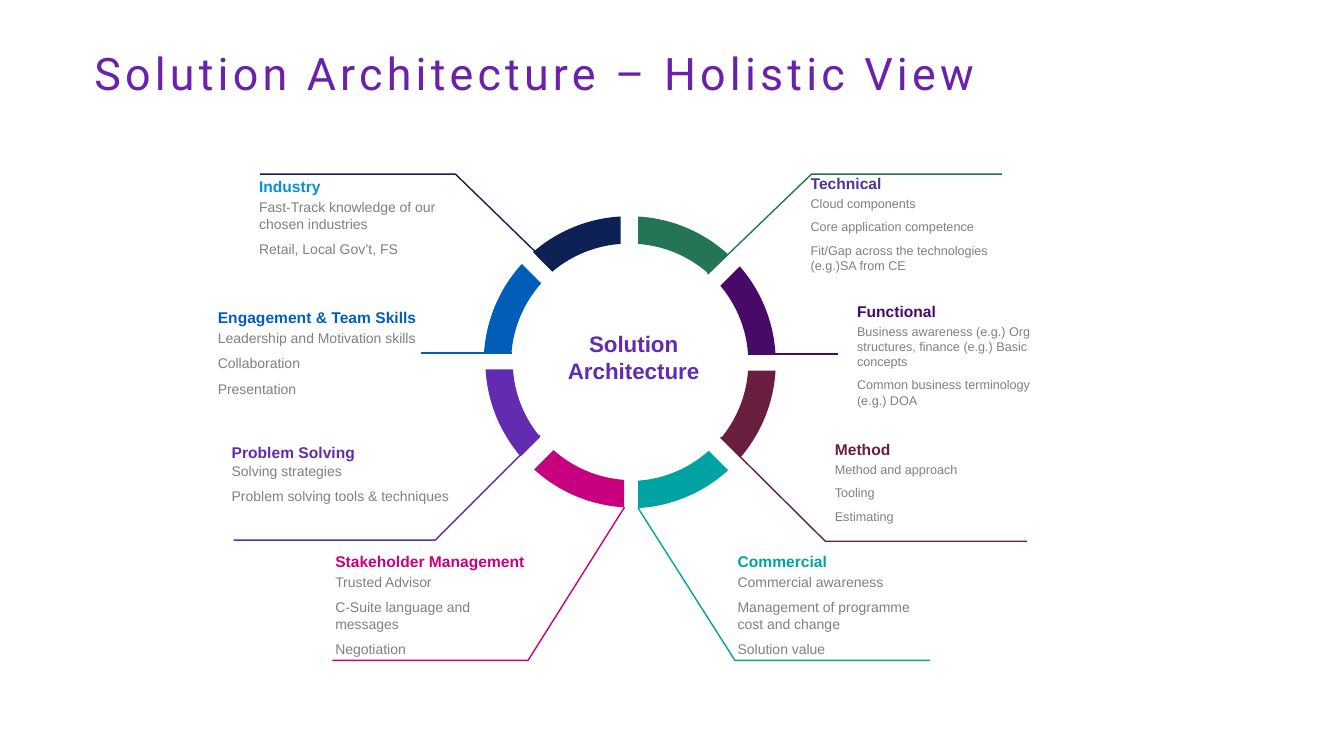
import math
import pptx
import pptx.util
import pptx.dml.color
import pptx.enum.shapes
import pptx.enum.text
import pptx.oxml.ns
import lxml.etree

Cm = pptx.util.Cm
Pt = pptx.util.Pt
qn = pptx.oxml.ns.qn

COLOURS = {
    "title": "6A22AD",
    "body": "808080",
    "technical": "247554",
    "technical heading": "483698",
    "functional": "470A68",
    "method": "691D3F",
    "commercial": "00A3A1",
    "stakeholder": "C6007E",
    "problem": "612CB0",
    "engagement": "005EB8",
    "engagement heading": "005EC2",
    "industry": "0D2155",
    "industry heading": "0091DA",
}

presentation = pptx.Presentation()
presentation.slide_width = Cm(33.87)
presentation.slide_height = Cm(19.05)
slide = presentation.slides.add_slide(presentation.slide_layouts[6])


def add_text(paragraphs, *, left, top, width, height, size, fill, font="Arial",
             bold=False, centred=False, inset=None, after=None,
             line_spacing=None, tracking=None):
    frame = slide.shapes.add_textbox(Cm(left), Cm(top), Cm(width), Cm(height)).text_frame
    frame.word_wrap = True
    if inset is not None:
        frame.margin_left = frame.margin_right = Cm(inset)
        frame.margin_top = frame.margin_bottom = Cm(inset)
    for index, text in enumerate(paragraphs):
        paragraph = frame.add_paragraph() if index else frame.paragraphs[0]
        if centred:
            paragraph.alignment = pptx.enum.text.PP_ALIGN.CENTER
        if after is not None:
            paragraph.space_after = Pt(after)
        if line_spacing is not None:
            paragraph.line_spacing = line_spacing
        run = paragraph.add_run()
        run.text = text
        run.font.name = font
        run.font.size = Pt(size)
        run.font.bold = bold
        run.font.color.rgb = pptx.dml.color.RGBColor.from_string(COLOURS[fill])
        if tracking is not None:
            run._r.get_or_add_rPr().set("spc", str(tracking * 100))


def add_outline(points, close):
    corners = [(Cm(x), Cm(y)) for x, y in points]
    builder = slide.shapes.build_freeform(*corners[0])
    builder.add_line_segments(corners[1:], close=close)
    shape = builder.convert_to_shape()
    shape.shadow.inherit = False
    return shape


add_text(["Solution Architecture – Holistic View"], left=2.13, top=1.17, width=29.21,
         height=3.68, size=32, fill="title", font="Roboto", line_spacing=0.9, tracking=3)

# name, heading, left, heading top, body top, body size, body, leader, ring shift, diagonal gap
topics = [
    ("technical", "Technical", 20.43, 4.39, 4.93, 9,
     ["Cloud components", "Core application competence",
      "Fit/Gap across the technologies (e.g.)SA from CE"],
     [(17.83, 6.91), (20.45, 4.39), (25.25, 4.39)], (0, 0), 0.17),
    ("functional", "Functional", 21.6, 7.62, 8.15, 9,
     ["Business awareness (e.g.) Org structures, finance (e.g.) Basic concepts",
      "Common business terminology (e.g.) DOA"],
     [(18.85, 8.92), (21.13, 8.92)], (0, 0), 0.25),
    ("method", "Method", 21.04, 11.08, 11.63, 9,
     ["Method and approach", "Tooling", "Estimating"],
     [(18.16, 11.02), (20.8, 13.64), (25.88, 13.64)], (0, 0), 0.27),
    ("commercial", "Commercial", 18.59, 13.91, 14.45, 10,
     ["Commercial awareness", "Management of programme cost and change", "Solution value"],
     [(16.08, 12.8), (18.52, 16.64), (23.44, 16.64)], (0, 0), 0.17),
    ("stakeholder", "Stakeholder Management", 8.45, 13.92, 14.45, 10,
     ["Trusted Advisor", "C-Suite language and messages", "Negotiation"],
     [(15.74, 12.78), (13.31, 16.64), (8.38, 16.64)], (0.07, -0.02), 0.17),
    ("problem", "Problem Solving", 5.84, 11.16, 11.66, 10,
     ["Solving strategies", "Problem solving tools & techniques"],
     [(13.61, 10.97), (10.97, 13.61), (5.89, 13.61)], (0.04, -0.03), 0.27),
    ("engagement", "Engagement & Team Skills", 5.49, 7.77, 8.31, 10,
     ["Leadership and Motivation skills", "Collaboration", "Presentation"],
     [(10.6, 8.9), (12.9, 8.9)], (0, 0), 0.17),
    ("industry", "Industry", 6.53, 4.45, 5.0, 10,
     ["Fast-Track knowledge of our chosen industries", "Retail, Local Gov’t, FS"],
     [(13.92, 6.76), (11.48, 4.39), (6.55, 4.39)], (-0.02, 0), 0.25),
]

centre_x, centre_y = 15.87, 9.13
outer_radius, inner_radius = 3.68, 2.99
axis_gap = 0.21
sector = math.tau / len(topics)

for index, (name, heading, left, heading_top, body_top, size, body,
            leader, shift, diagonal_gap) in enumerate(topics):
    main_colour = pptx.dml.color.RGBColor.from_string(COLOURS[name])
    gaps = (diagonal_gap, axis_gap) if index % 2 else (axis_gap, diagonal_gap)
    ring_points = []
    for radius, direction in ((outer_radius, 1), (inner_radius, -1)):
        start = index * sector + math.asin(gaps[0] / radius)
        end = (index + 1) * sector - math.asin(gaps[1] / radius)
        handle = radius * 4 / 3 * math.tan((end - start) / 4)
        arc = [(centre_x + shift[0] + radius * math.sin(angle) + pull * math.cos(angle),
                centre_y + shift[1] - radius * math.cos(angle) + pull * math.sin(angle))
               for angle, pull in ((start, 0), (start, handle), (end, -handle), (end, 0))]
        ring_points += arc[::direction]
    segment = add_outline(ring_points, True)
    edges = list(segment._element.iter(qn("a:lnTo")))
    for first in (0, 4):
        curve = lxml.etree.Element(qn("a:cubicBezTo"))
        edges[first].addprevious(curve)
        for edge in edges[first:first + 3]:
            curve.append(edge[0])
            edge.getparent().remove(edge)
    segment.fill.solid()
    segment.fill.fore_color.rgb = main_colour
    segment.line.fill.background()

    straight = len(leader) == 2
    if straight:
        (start_x, start_y), (end_x, end_y) = leader
        line = slide.shapes.add_connector(pptx.enum.shapes.MSO_CONNECTOR.STRAIGHT,
                                          Cm(start_x), Cm(start_y), Cm(end_x), Cm(end_y))
        lxml.etree.SubElement(line._element.spPr, qn("a:effectLst"))
    else:
        line = add_outline(leader, False)
        line.fill.background()
    line.line.color.rgb = main_colour
    line.line.width = Pt(1.5 if straight else 1)

    heading_colour = f"{name} heading" if f"{name} heading" in COLOURS else name
    add_text([heading], left=left, top=heading_top, width=5.11, height=0.48, size=11.1,
             fill=heading_colour, bold=True, inset=0)
    add_text(body, left=left, top=body_top, width=5.49 if name == "problem" else 5.05,
             height=1.75, size=size, fill="body", inset=0, after=6)

add_text(["Solution Architecture"], left=13.11, top=8.2, width=5.72, height=1.63,
         size=16, fill="problem", bold=True, centred=True)

presentation.save("out.pptx")
